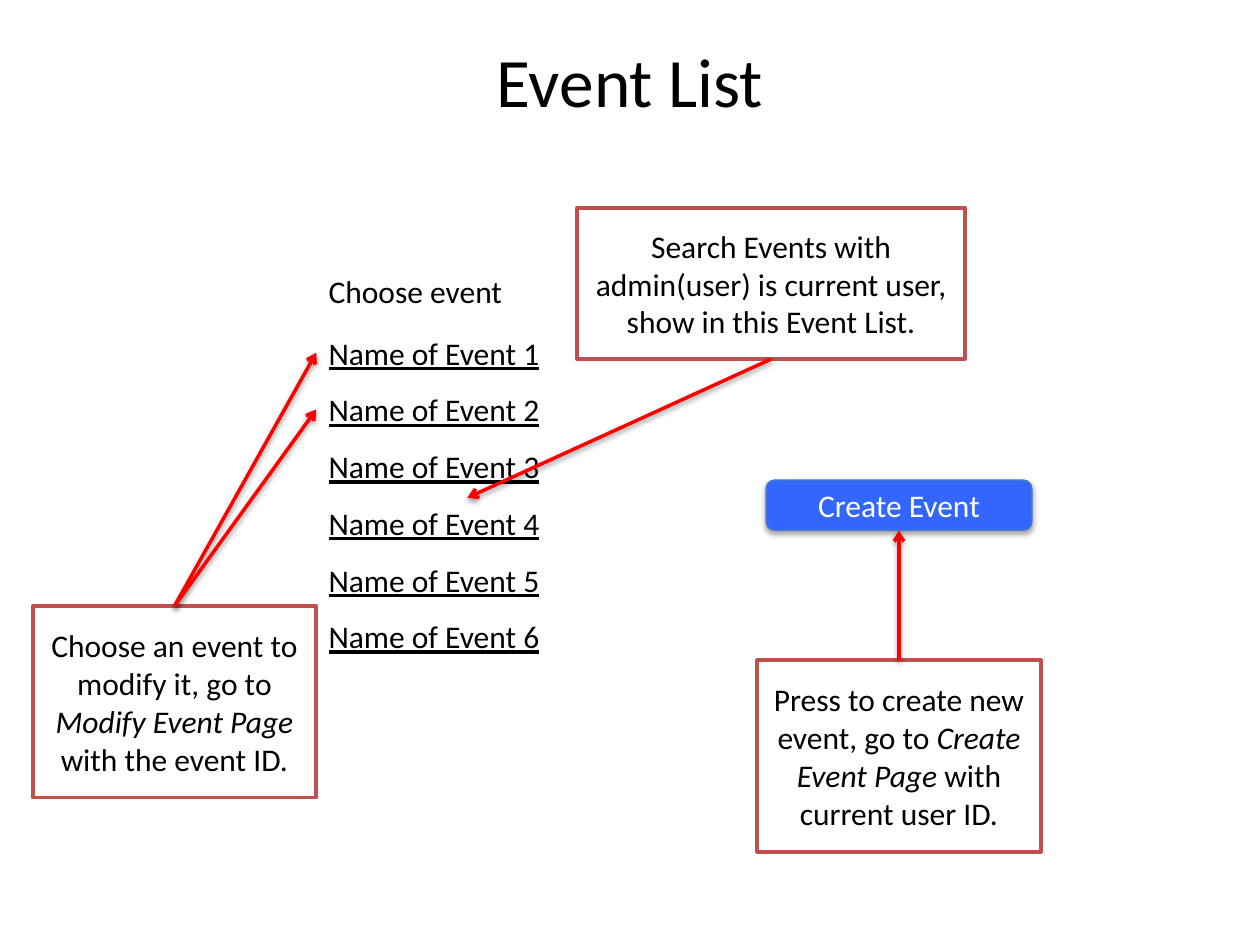
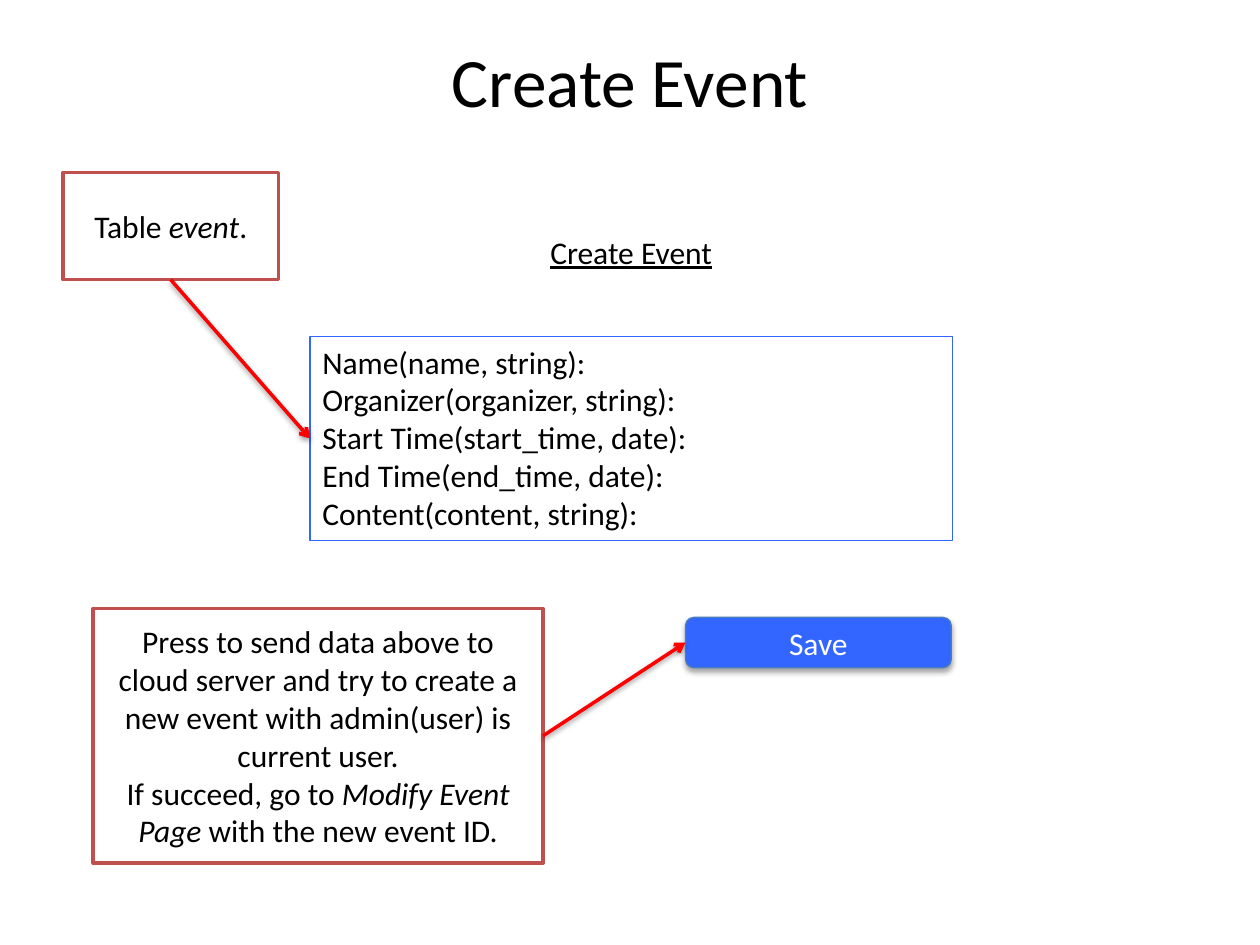
import pptx
import pptx.util
import pptx.dml.color
import pptx.enum.shapes
import pptx.enum.text
import pptx.oxml
import pptx.oxml.ns

# Shared look
FONT = "Calibri"
BLACK, WHITE = "000000", "FFFFFF"
BLUE, BUTTON_EDGE = "3366FF", "4B7EBC"
NOTE_EDGE, ARROW = "C0504D", "FF0000"
TITLE_SIZE, BODY_SIZE = 39.6, 18
THIN, THICK = 0.75, 2
BUTTON_WIDTH, LINE_HEIGHT = 2.11, 0.4

Shapes = pptx.enum.shapes.MSO_SHAPE
Align = pptx.enum.text.PP_ALIGN
Anchor = pptx.enum.text.MSO_ANCHOR

# Connection sites of a rectangle
TOP, LEFT, BOTTOM, RIGHT = range(4)


def color(target, value):
    target.rgb = pptx.dml.color.RGBColor.from_string(value)


def outline(line, value, width):
    line.fill.solid()
    color(line.color, value)
    line.width = pptx.util.Pt(width)


def add_shadow(shape, opacity, distance):
    """Soft shadow straight below; follows the line settings in the XML."""
    shape._element.spPr.append(pptx.oxml.parse_xml(
        f'<a:effectLst {pptx.oxml.ns.nsdecls("a")}>'
        f'<a:outerShdw blurRad="40000" dist="{distance}" dir="5400000" rotWithShape="0">'
        f'<a:srgbClr val="{BLACK}"><a:alpha val="{opacity * 1000}"/></a:srgbClr>'
        '</a:outerShdw></a:effectLst>'))


def write(shape, paragraphs, size=BODY_SIZE, ink=BLACK, align=Align.CENTER,
          anchor=Anchor.MIDDLE, underline=None):
    """Each paragraph is a list of runs; every second run is italic."""
    frame = shape.text_frame
    frame.word_wrap = True
    frame.vertical_anchor = anchor
    for number, runs in enumerate(paragraphs):
        para = frame.add_paragraph() if number else frame.paragraphs[0]
        para.alignment = align
        for position, text in enumerate(runs):
            span = para.add_run()
            span.text = text
            span.font.name = FONT
            span.font.size = pptx.util.Pt(size)
            span.font.underline = underline
            span.font.italic = True if position % 2 else None
            color(span.font.color, ink)


def add_text(page, at, text, **style):
    box = page.shapes.add_textbox(*map(pptx.util.Inches, at))
    write(box, [[text]], **style)
    return box


def add_box(page, kind, at, fill, edge, width):
    box = page.shapes.add_shape(kind, *map(pptx.util.Inches, at))
    if fill:
        box.fill.solid()
        color(box.fill.fore_color, fill)
    else:
        box.fill.background()
    outline(box.line, edge, width)
    return box


def add_note(page, at, *paragraphs):
    note = add_box(page, Shapes.FLOWCHART_PROCESS, at, WHITE, NOTE_EDGE, THICK)
    note.shadow.inherit = False
    write(note, paragraphs)
    return note


def add_button(page, left, top, text):
    at = (left, top, BUTTON_WIDTH, LINE_HEIGHT)
    button = add_box(page, Shapes.ROUNDED_RECTANGLE, at, BLUE, BUTTON_EDGE, THIN)
    add_shadow(button, 35, 23000)
    write(button, [[text]], ink=WHITE)
    return button


def add_form(page, at, fields):
    form = add_box(page, Shapes.RECTANGLE, at, None, BLUE, THIN)
    form.shadow.inherit = False
    write(form, [[field] for field in fields], align=Align.LEFT, anchor=Anchor.TOP)
    return form


def add_arrow(page, source, source_side, target, target_side):
    arrow = page.shapes.add_connector(
        pptx.enum.shapes.MSO_CONNECTOR.STRAIGHT, 0, 0, 0, 0)
    arrow.begin_connect(source, source_side)
    arrow.end_connect(target, target_side)
    outline(arrow.line, ARROW, THICK)
    arrow.line._get_or_add_ln().append(pptx.oxml.parse_xml(
        f'<a:tailEnd {pptx.oxml.ns.nsdecls("a")} type="arrow"/>'))
    add_shadow(arrow, 38, 20000)


def add_page(deck, title):
    page = deck.slides.add_slide(deck.slide_layouts[6])
    add_text(page, (0.5, 0.3, 9, 0.66), title, size=TITLE_SIZE)
    return page


def build_event_list(deck):
    page = add_page(deck, "Event List")
    create = add_button(page, 6.08, 3.81, "Create Event")

    # Heading and evenly spaced event names
    column, width, first, step = 2.51, 2.4, 2.6, 0.45
    listing = {"align": Align.LEFT, "anchor": Anchor.TOP}
    add_text(page, (column, 2.11, width, LINE_HEIGHT), "Choose event", **listing)
    events = [
        add_text(page, (column, first + step * row, width, LINE_HEIGHT),
                 f"Name of Event {row + 1}", underline=True, **listing)
        for row in range(6)]

    # Notes and their arrows
    modify_note = add_note(page, (0.26, 4.81, 2.25, 1.52), [
        "Choose an event to modify it, go to ", "Modify Event Page",
        " with the event ID."])
    for event in events[:2]:
        add_arrow(page, modify_note, TOP, event, LEFT)
    create_note = add_note(page, (6.01, 5.24, 2.25, 1.52), [
        "Press to create new event, go to ", "Create Event Page",
        " with current user ID."])
    add_arrow(page, create_note, TOP, create, BOTTOM)
    search_note = add_note(page, (4.58, 1.65, 3.08, 1.2), [
        "Search Events with admin(user) is current user, show in this Event List."])
    add_arrow(page, search_note, BOTTOM, events[3], TOP)


def build_create_event(deck):
    page = add_page(deck, "Create Event")

    # Form with its heading and button
    add_text(page, (3.06, 1.8, 3.9, LINE_HEIGHT), "Create Event",
             anchor=Anchor.TOP, underline=True)
    form = add_form(page, (2.46, 2.67, 5.1, 1.62), [
        "Name(name, string):", "Organizer(organizer, string):",
        "Start Time(start_time, date):", "End Time(end_time, date):",
        "Content(content, string):"])
    save = add_button(page, 5.44, 4.9, "Save")

    # Notes and their arrows
    save_note = add_note(
        page, (0.74, 4.83, 3.57, 2.02),
        ["Press to send data above to cloud server and try to create a new event "
         "with admin(user) is current user."],
        ["If succeed, go to ", "Modify Event Page", " with the new event ID."])
    add_arrow(page, save_note, RIGHT, save, LEFT)
    table_note = add_note(page, (0.5, 1.37, 1.71, 0.85), ["Table ", "event", "."])
    add_arrow(page, table_note, BOTTOM, form, LEFT)


def main():
    deck = pptx.Presentation()
    deck.slide_width = pptx.util.Inches(10)
    deck.slide_height = pptx.util.Inches(7.5)
    build_event_list(deck)
    build_create_event(deck)
    deck.save("out.pptx")


main()
